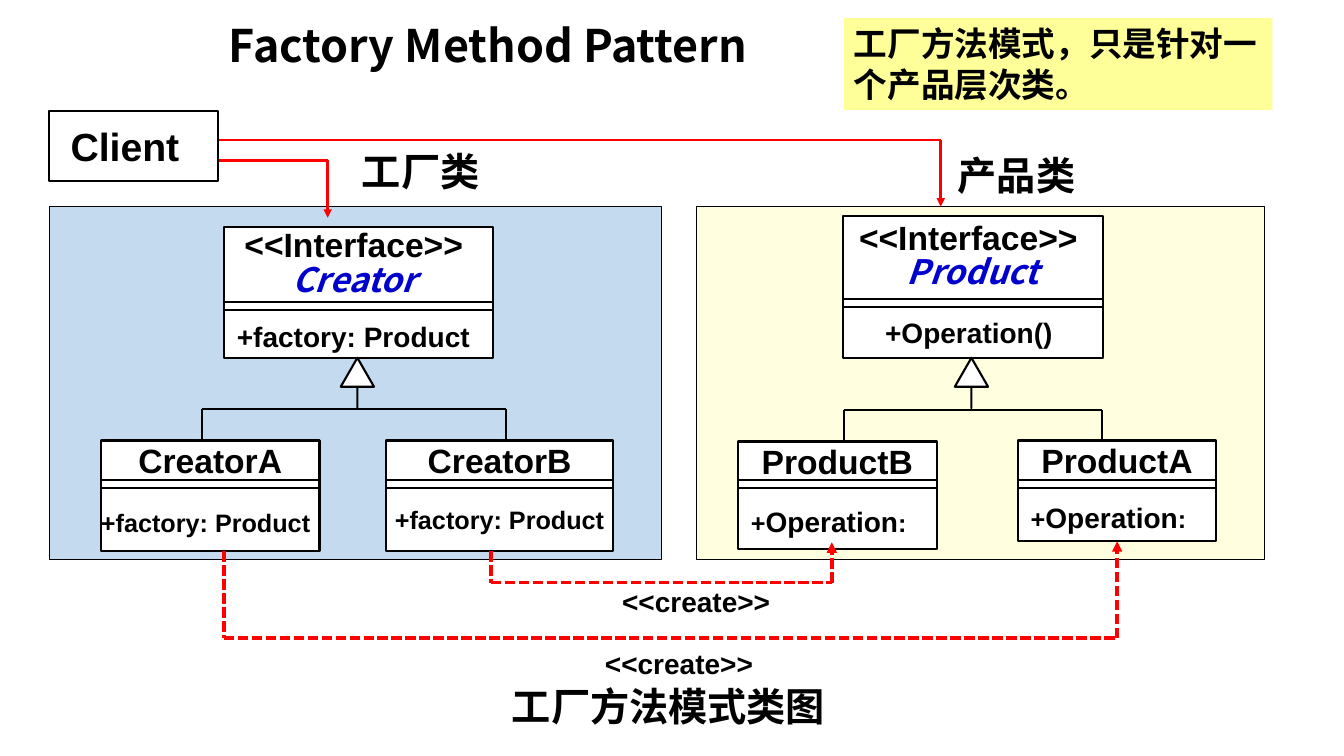
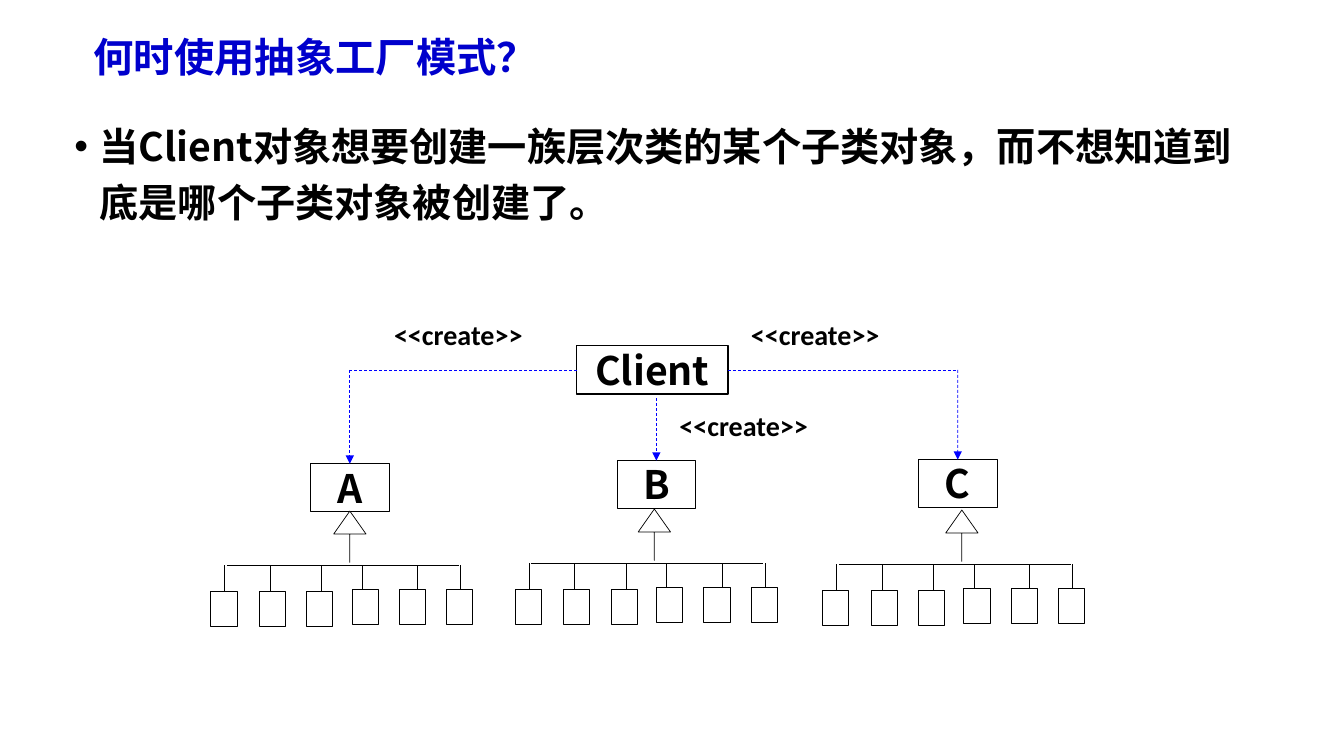
from lxml import etree
from pptx import Presentation
from pptx.dml.color import RGBColor
from pptx.enum.dml import MSO_LINE
from pptx.enum.shapes import MSO_CONNECTOR, MSO_SHAPE
from pptx.enum.text import MSO_ANCHOR, PP_ALIGN
from pptx.oxml.ns import qn
from pptx.util import Inches, Pt

COLORS = {
    "ink": "000000",
    "paper": "FFFFFF",
    "emphasis": "0000CC",
    "call": "FF0000",
    "create": "0000FF",
    "factory": "5B9BD5",
    "product": "FFFF99",
}
CJK, LATIN, CALIBRI = "Noto Sans CJK SC", "Arial", "Calibri"
TOP, LEFT, BOTTOM, RIGHT = 0, 1, 2, 3
BAND = 0.08


def rgb(name):
    return RGBColor.from_string(COLORS[name])


def write(shape, text, *, size, font=LATIN, color="ink", italic=False,
          align=PP_ALIGN.LEFT, spacing=None, before=None, same_line=False):
    """Add bold text as a new paragraph, or to the end of the last one."""
    frame = shape.text_frame
    paragraph = frame.paragraphs[-1]
    if paragraph.runs and not same_line:
        paragraph = frame.add_paragraph()
    paragraph.alignment = align
    if spacing:
        paragraph.line_spacing = spacing
    if before:
        paragraph.space_before = Pt(before)
    run = paragraph.add_run()
    run.text = text
    run.font.size = Pt(size)
    run.font.bold = True
    run.font.italic = italic
    run.font.color.rgb = rgb(color)
    run.font.name = font
    east_asian = etree.SubElement(run._r.get_or_add_rPr(), qn("a:ea"))
    east_asian.set("typeface", font)
    return paragraph


def set_frame(shape, margins, anchor, wrap):
    """Set margins (left, top, right, bottom), anchor and wrapping."""
    frame = shape.text_frame
    frame.margin_left, frame.margin_top, frame.margin_right, frame.margin_bottom = map(Inches, margins)
    frame.vertical_anchor = anchor
    frame.word_wrap = wrap


def add_block(slide, at, *, fill="paper", opacity=None, line=None, kind=MSO_SHAPE.RECTANGLE,
              margins=(0, 0, 0, 0), anchor=MSO_ANCHOR.MIDDLE, wrap=False):
    block = slide.shapes.add_shape(kind, *map(Inches, at))
    block.shadow.inherit = False
    block.fill.solid()
    block.fill.fore_color.rgb = rgb(fill)
    if opacity:
        color = block._element.spPr.find(qn("a:solidFill"))[0]
        etree.SubElement(color, qn("a:alpha")).set("val", str(opacity * 1000))
    if line:
        block.line.color.rgb = rgb("ink")
        block.line.width = Pt(line)
    else:
        block.line.fill.background()
    set_frame(block, margins, anchor, wrap)
    return block


def add_text_area(slide, at, anchor=MSO_ANCHOR.TOP):
    area = slide.shapes.add_textbox(*map(Inches, at))
    set_frame(area, (0.1, 0.05, 0.1, 0.05), anchor, True)
    return area


def add_title(slide, at, text, **style):
    write(add_text_area(slide, at, MSO_ANCHOR.MIDDLE), text, font=CJK, spacing=0.9, **style)


def add_label(slide, at, text, *, margins=(0, 0, 0, 0), fill="paper", **style):
    label = add_block(slide, at, fill=fill, margins=margins, anchor=MSO_ANCHOR.TOP, wrap=True)
    write(label, text, **style)


def add_line(slide, start, end, *, color="ink", width=1.5, dash=None, arrow=False,
             begin=None, finish=None):
    """Draw a straight line; begin and finish are (shape, side) joints."""
    line = slide.shapes.add_connector(MSO_CONNECTOR.STRAIGHT, *map(Inches, (*start, *end)))
    line.line.color.rgb = rgb(color)
    line.line.width = Pt(width)
    if dash:
        line.line.dash_style = dash
    if arrow:
        etree.SubElement(line.line._get_or_add_ln(), qn("a:tailEnd")).set("type", "triangle")
    etree.SubElement(line._element.spPr, qn("a:effectLst"))
    if begin:
        line.begin_connect(*begin)
    if finish:
        line.end_connect(*finish)


def add_route(slide, points, *, finish=None, begin=None, arrow=True, **style):
    """Draw a bent line through the points, with an arrowhead at its end."""
    last = len(points) - 2
    for i, (start, end) in enumerate(zip(points, points[1:])):
        add_line(slide, start, end, arrow=arrow and i == last,
                 begin=begin if i == 0 else None,
                 finish=finish if i == last else None, **style)


def add_inheritance_arrow(slide, at, head, line):
    arrow = add_block(slide, at, line=line, kind=MSO_SHAPE.UP_ARROW)
    arrow.adjustments[0] = 0
    arrow.adjustments[1] = head


def add_class(slide, at, band_top, name, method, *, interface=False, shift=(0, 0)):
    """Draw a class; method is (text, size) runs, shift its right and top margins."""
    left, top, width, height = at
    header = add_block(slide, (left, top, width, band_top - top), line=1.5)
    if interface:
        write(header, "<<Interface>> ", size=24, align=PP_ALIGN.CENTER, spacing=0.85)
        write(header, name, size=24, font=CJK, color="emphasis", italic=True,
              align=PP_ALIGN.CENTER, spacing=0.85)
    else:
        write(header, name, size=24, align=PP_ALIGN.CENTER)
    method_top = band_top + BAND
    body = add_block(slide, (left, method_top, width, top + height - method_top), line=1.5,
                     margins=(0, shift[1], shift[0], 0))
    for text, size in method:
        write(body, text, size=size, align=PP_ALIGN.CENTER, same_line=True)
    add_block(slide, (left, band_top, width, BAND), line=1.5)
    return body


def add_fork(slide, left, right, y, bottom):
    add_line(slide, (left, y), (right, y))
    for x in (left, right):
        add_line(slide, (x, y), (x, bottom))


def build_factory_method(slide):
    add_block(slide, (0.49, 2.05, 6.07, 3.5), fill="factory", opacity=36, line=0.75)
    add_block(slide, (6.91, 2.05, 5.63, 3.5), fill="product", opacity=31, line=0.75)
    add_title(slide, (2.17, 0.17, 5.83, 0.62), "Factory Method Pattern", size=32)
    write(add_text_area(slide, (4.54, 6.81, 4.18, 0.5)), "工厂方法模式类图",
          size=28, font=CJK, align=PP_ALIGN.CENTER, spacing=0.8)

    factory = "+factory: Product"
    operation = [("+", 18), ("Operation", 20), (":", 18)]
    add_class(slide, (2.22, 2.25, 2.67, 1.3), 3, "Creator ", [(factory, 20)],
              interface=True, shift=(0.1, 0.05))
    add_class(slide, (8.36, 2.14, 2.58, 1.41), 2.97, "Product", [("+Operation()", 20)],
              interface=True, shift=(0.08, 0))
    add_class(slide, (1, 4.37, 2.17, 1.1), 4.76, "CreatorA", [(factory, 18)], shift=(0.09, 0.06))
    add_class(slide, (3.83, 4.37, 2.25, 1.1), 4.76, "CreatorB", [(factory, 18)])
    add_class(slide, (7.32, 4.38, 1.97, 1.07), 4.76, "ProductB", operation, shift=(0.17, 0.06))
    product_a = add_class(slide, (10.1, 4.37, 1.96, 1), 4.76, "ProductA", operation,
                          shift=(0.17, 0.06))

    add_fork(slide, 2, 5.02, 4.06, 4.37)
    add_fork(slide, 8.37, 10.93, 4.07, 4.38)
    for left in (3.38, 9.47):
        add_inheritance_arrow(slide, (left, 3.55, 0.33, 0.5), 0.87, 1.5)

    client = add_block(slide, (0.49, 1.1, 1.67, 0.7), line=1.5, margins=(0.1, 0.05, 0.27, 0.05))
    write(client, "Client", size=28, align=PP_ALIGN.CENTER)
    call = dict(color="call", width=2)
    add_route(slide, [(2.17, 1.59), (3.25, 1.59), (3.25, 2.16)], **call)
    add_route(slide, [(2.17, 1.39), (9.33, 1.39), (9.33, 2.05)], **call)

    create = dict(color="call", width=2.5, dash=MSO_LINE.SQUARE_DOT)
    add_route(slide, [(4.87, 5.47), (4.87, 5.78), (8.25, 5.78), (8.25, 5.38)], **create)
    add_route(slide, [(2.22, 5.47), (2.22, 6.33), (11.08, 6.33), (11.08, 5.37)],
              finish=(product_a, BOTTOM), **create)
    for left, top in ((6.17, 5.8), (6, 6.41)):
        add_label(slide, (left, top, 1.83, 0.33), "<<create>>", size=20)

    add_label(slide, (3.59, 1.46, 1.25, 0.47), "工厂类", size=28, font=CJK)
    add_label(slide, (9.5, 1.5, 1.25, 0.47), "产品类", size=28, font=CJK)
    add_label(slide, (8.37, 0.18, 4.25, 0.91), "工厂方法模式，只是针对一个产品层次类。",
              margins=(0.1, 0.05, 0.1, 0.05), fill="product", size=24, font=CJK)


def add_family(slide, name, left, bus, root_at):
    """Draw a root class over six subclasses hanging from a bus line."""
    root = add_block(slide, (*root_at, 0.78, 0.47), line=0.5)
    write(root, name, size=28, font=CJK, align=PP_ALIGN.CENTER)
    add_line(slide, (left + 0.16, bus), (left + 2.46, bus), width=0.5)
    add_inheritance_arrow(slide, (left + 1.22, bus - 0.54, 0.32, 0.51), 0.71, 0.5)
    child_offsets = (0, 0.48, 0.95, 1.4, 1.87, 2.34)
    stem_offsets = (0.14, 0.59, 1.1, 1.5, 2.05, 2.48)
    for i, (child, stem) in enumerate(zip(child_offsets, stem_offsets)):
        top = bus + (0.26 if i < 3 else 0.24)
        add_line(slide, (left + stem, bus), (left + stem, top), width=0.5)
        add_block(slide, (left + child, top, 0.26, 0.34), line=0.5)
    return root


def build_when_to_use(slide):
    add_title(slide, (0.83, 0.32, 4.96, 0.54), "何时使用抽象工厂模式？", size=28.8, color="emphasis")
    advice = write(add_text_area(slide, (0.64, 1.07, 11.92, 1.36)),
                   "当Client对象想要创建一族层次类的某个子类对象，而不想知道到底是哪个子类对象被创建了。",
                   size=28, font=CJK, spacing=1.2, before=6)
    properties = advice._p.get_or_add_pPr()
    properties.set("marL", str(Inches(0.25)))
    properties.set("indent", str(Inches(-0.25)))
    etree.SubElement(properties, qn("a:buFont")).set("typeface", LATIN)
    etree.SubElement(properties, qn("a:buChar")).set("char", "•")

    client = add_block(slide, (5.72, 3.43, 1.5, 0.48), line=1)
    write(client, "Client", size=28, font=CJK, align=PP_ALIGN.CENTER)
    family_a = add_family(slide, "A", 2.09, 5.61, (3.08, 4.6))
    family_b = add_family(slide, "B", 5.11, 5.59, (6.12, 4.57))
    family_c = add_family(slide, "C", 8.16, 5.6, (9.11, 4.56))

    create = dict(color="create", width=0.5, dash=MSO_LINE.DASH)
    add_route(slide, [(5.72, 3.67), (3.47, 3.67), (3.47, 4.6)],
              begin=(client, LEFT), finish=(family_a, TOP), **create)
    add_route(slide, [(6.51, 3.95), (6.51, 4.57)], finish=(family_b, TOP), **create)
    add_route(slide, [(7.22, 3.67), (9.5, 3.67), (9.5, 4.56)],
              begin=(client, RIGHT), finish=(family_c, TOP), **create)
    for left, top in ((3.81, 3.1), (7.35, 3.1), (6.64, 4)):
        add_label(slide, (left, top, 1.83, 0.43), "<<create>>",
                  margins=(0.1, 0.05, 0.1, 0.05), size=20, font=CALIBRI)


def main():
    deck = Presentation()
    deck.slide_width, deck.slide_height = Inches(13.33), Inches(7.5)
    for build in (build_factory_method, build_when_to_use):
        build(deck.slides.add_slide(deck.slide_layouts[6]))
    deck.save("out.pptx")


if __name__ == "__main__":
    main()
